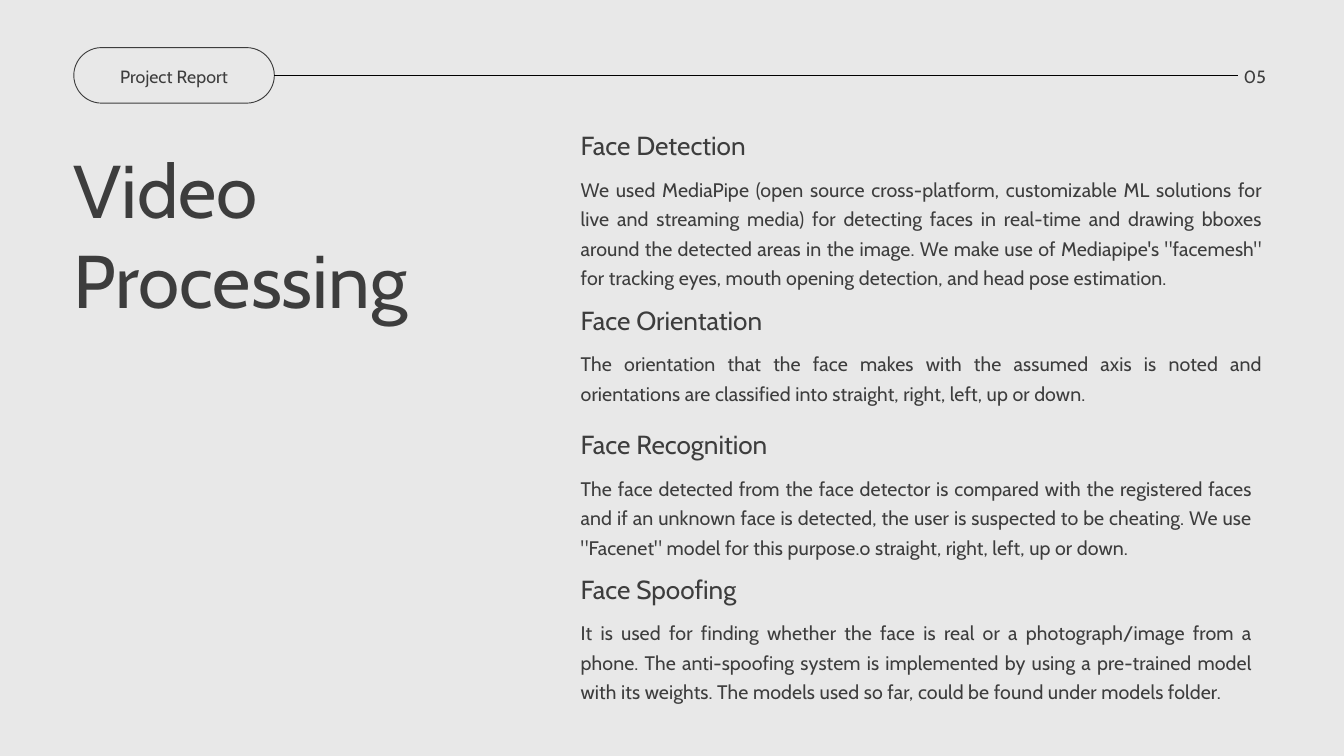
from dataclasses import dataclass

from lxml import etree
from pptx import Presentation
from pptx import util as u
from pptx.dml.color import RGBColor
from pptx.enum import shapes, text
from pptx.oxml.ns import qn

COLORS = {"background": "E8E8E8", "ink": "3D3D3D", "rule": "000000"}
FONT = "Cabin"
ALIGN = text.PP_ALIGN

SECTION_LEFT = 21.95
HEADING_WIDTH, HEADING_HEIGHT = 20.42, 1.27
BODY_OFFSET = 1.7
BODY_LINE_HEIGHT = 1.11


@dataclass(frozen=True)
class TextStyle:
    size: float
    line_spacing: float
    alignment: ALIGN = ALIGN.LEFT
    tracking: int = 0  # hundredths of a point


@dataclass(frozen=True)
class Section:
    top: float
    width: float
    lines: int
    heading: str
    body: str


TITLE = TextStyle(80, 96)
HEADING = TextStyle(28, 36.4)
BODY = TextStyle(21, 31.5, ALIGN.JUSTIFY, 10)
LABEL = TextStyle(19, 28.5, ALIGN.CENTER, 10)
PAGE_NUMBER = TextStyle(19, 28.5, ALIGN.RIGHT, 10)

SECTIONS = [
    Section(4.8, 25.78, 4, "Face Detection",
            "We used MediaPipe (open source cross-platform, customizable ML solutions "
            "for live and streaming media) for detecting faces in real-time and drawing "
            "bboxes around the detected areas in the image. We make use of Mediapipe's "
            "\"facemesh\" for tracking eyes, mouth opening detection, and head pose "
            "estimation."),
    Section(11.4, 25.78, 2, "Face Orientation",
            "The orientation that the face makes with the assumed axis is noted and "
            "orientations are classified into straight, right, left, up or down."),
    Section(16.1, 25.4, 3, "Face Recognition",
            "The face detected from the face detector is compared with the registered "
            "faces and if an unknown face is detected, the user is suspected to be "
            "cheating. We use \"Facenet\" model for this purpose.o straight, right, "
            "left, up or down."),
    Section(21.56, 25.4, 3, "Face Spoofing",
            "It is used for finding whether the face is real or a photograph/image from "
            "a phone. The anti-spoofing system is implemented by using a pre-trained "
            "model with its weights. The models used so far, could be found under "
            "models folder."),
]


def color(name: str) -> RGBColor:
    return RGBColor.from_string(COLORS[name])


def set_format(target, values: dict) -> None:
    for name, value in values.items():
        setattr(target, name, value)


def add_text(slide, left: float, top: float, width: float, height: float,
             content: str, style: TextStyle) -> None:
    box = slide.shapes.add_textbox(u.Cm(left), u.Cm(top), u.Cm(width), u.Cm(height))
    set_format(box.text_frame, {"word_wrap": True, "margin_left": 0, "margin_top": 0,
                                "margin_right": 0, "margin_bottom": 0})
    paragraph = box.text_frame.paragraphs[0]
    set_format(paragraph, {"alignment": style.alignment,
                           "line_spacing": u.Pt(style.line_spacing)})
    run = paragraph.add_run()
    run.text = content
    set_format(run.font, {"name": FONT, "size": u.Pt(style.size)})
    run.font.color.rgb = color("ink")
    if style.tracking:
        run._r.get_or_add_rPr().set("spc", str(style.tracking))


def add_header(slide) -> None:
    # Outlined pill
    pill = slide.shapes.add_shape(shapes.MSO_SHAPE.ROUNDED_RECTANGLE,
                                  u.Cm(2.79), u.Cm(1.8), u.Cm(7.58), u.Cm(2.1))
    pill.adjustments[0] = 0.5
    pill.shadow.inherit = False
    pill.fill.background()
    pill.line.color.rgb = color("ink")
    pill.line.width = u.Pt(1)

    # Rule from the pill to the page number
    middle = u.Cm(2.85)
    rule = slide.shapes.add_connector(shapes.MSO_CONNECTOR.STRAIGHT,
                                      u.Cm(10.37), middle, u.Cm(46.81), middle)
    rule.begin_connect(pill, 3)
    rule.line.color.rgb = color("rule")
    rule.line.width = u.Pt(0.75)
    etree.SubElement(rule._element.spPr, qn("a:effectLst"))

    add_text(slide, 3.38, 2.29, 6.4, 0.97, "Project Report", LABEL)
    add_text(slide, 46.81, 2.29, 1.04, 0.97, "05", PAGE_NUMBER)


def add_section(slide, section: Section) -> None:
    add_text(slide, SECTION_LEFT, section.top, HEADING_WIDTH, HEADING_HEIGHT,
             section.heading, HEADING)
    add_text(slide, SECTION_LEFT, section.top + BODY_OFFSET, section.width,
             section.lines * BODY_LINE_HEIGHT, section.body, BODY)


def main() -> None:
    presentation = Presentation()
    set_format(presentation, {"slide_width": u.Cm(50.8), "slide_height": u.Cm(28.58)})
    slide = presentation.slides.add_slide(presentation.slide_layouts[6])
    slide.background.fill.solid()
    slide.background.fill.fore_color.rgb = color("background")

    add_header(slide)
    add_text(slide, 2.77, 5.44, 16.31, 6.83, "Video Processing", TITLE)
    for section in SECTIONS:
        add_section(slide, section)

    presentation.save("out.pptx")


if __name__ == "__main__":
    main()
